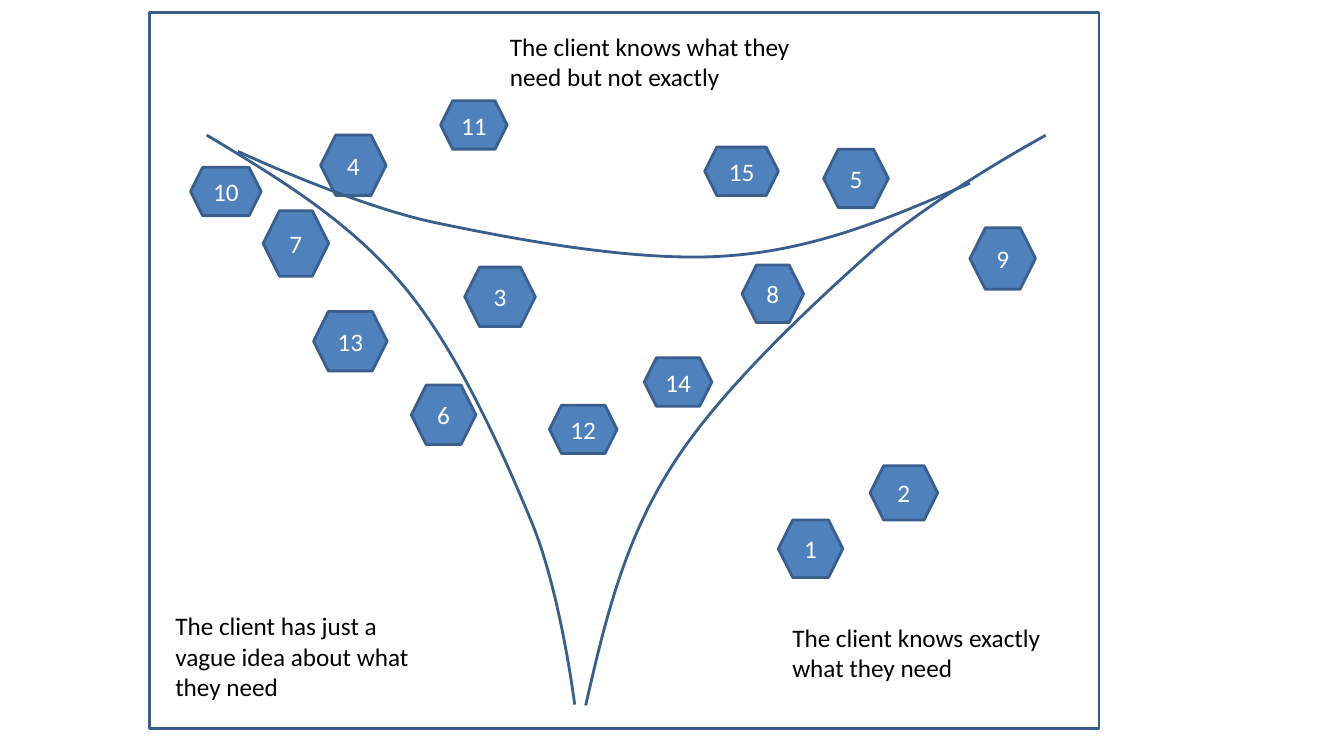
from pptx import Presentation
from pptx.dml.color import RGBColor
from pptx.enum.shapes import MSO_SHAPE as Shape
from pptx.enum.text import MSO_ANCHOR as Anchor, MSO_AUTO_SIZE as AutoSize, PP_ALIGN as Align
from pptx.oxml.ns import qn
from pptx.util import Inches, Pt

COLORS = {"hexagon": "4F81BD", "line": "3A5F8C", "number": "FFFFFF", "label": "000000"}
CELL = Inches(0.01)
SLIDE = (1333, 750)
FRAME = (148, 12, 942, 711)

PROJECTS = {
    10: (41, 154, 70, 48),
    15: (551, 134, 73, 48),
    4: (170, 122, 65, 60),
    13: (163, 297, 73, 59),
    3: (313, 253, 70, 59),
    6: (260, 370, 64, 59),
    11: (289, 88, 66, 48),
    12: (397, 390, 67, 48),
    14: (491, 343, 67, 48),
    7: (113, 197, 65, 65),
    1: (624, 504, 64, 57),
    2: (715, 450, 67, 54),
    8: (588, 251, 61, 57),
    9: (814, 214, 65, 61),
    5: (669, 136, 64, 58),
}
LABELS = {
    "The client knows exactly what they need": (628, 600, 303, 71),
    "The client knows what they need but not exactly": (348, 14, 327, 71),
    "The client has just a vague idea about what they need": (16, 589, 259, 101),
}
BORDERS = {
    0: (57, 122, 365, 565),
    247.5: (487, 86, 348, 638),
    121.1: (277, -165, 348, 638),
}
BEND_SCALE = 1000
BEND = [(0, 0), (191, 74), (384, 149), (531, 262), (680, 375),
        (805, 558), (884, 681), (962, 804), (1000, 1000), (1000, 1000)]


def color(part):
    """Return the colour of a part of the diagram."""
    return RGBColor.from_string(COLORS[part])


def place(box, cells):
    """Turn grid cells inside a box into slide lengths."""
    left, top, width, height = cells
    return [n * CELL for n in (box[0] + left, box[1] + top, width, height)]


def outline(shape, fill=None):
    """Give a shape the common outline and an optional fill."""
    shape.shadow.inherit = False
    if fill:
        shape.fill.solid()
        shape.fill.fore_color.rgb = color(fill)
    else:
        shape.fill.background()
    shape.line.color.rgb = color("line")
    shape.line.width = Pt(2)


def write(frame, text, part, align):
    """Write one paragraph in the style of a part."""
    paragraph = frame.paragraphs[0]
    paragraph.text = text
    paragraph.alignment = align
    paragraph.font.name = "Calibri"
    paragraph.font.size = Pt(18)
    paragraph.font.color.rgb = color(part)


def add_projects(slide, box):
    """Place the numbered project hexagons."""
    for number, cells in PROJECTS.items():
        hexagon = slide.shapes.add_shape(Shape.HEXAGON, *place(box, cells))
        outline(hexagon, "hexagon")
        hexagon.text_frame.word_wrap = False
        hexagon.text_frame.vertical_anchor = Anchor.MIDDLE
        write(hexagon.text_frame, str(number), "number", Align.CENTER)


def add_frame(slide, box):
    """Draw the frame around the diagram."""
    outline(slide.shapes.add_shape(Shape.RECTANGLE, *place((0, 0), box)))


def add_labels(slide, box):
    """Write the label of each client group."""
    for text, cells in LABELS.items():
        label = slide.shapes.add_textbox(*place(box, cells))
        label.text_frame.word_wrap = True
        label.text_frame.auto_size = AutoSize.SHAPE_TO_FIT_TEXT
        write(label.text_frame, text, "label", Align.LEFT)


def bend(border):
    """Join each three line segments of a border into one cubic curve."""
    segments = iter(list(border.element.iter(qn("a:lnTo"))))
    for curve, second, third in zip(segments, segments, segments):
        curve.tag = qn("a:cubicBezTo")
        for segment in (second, third):
            curve.extend(list(segment))
            segment.getparent().remove(segment)


def add_borders(slide, box):
    """Draw the same curved border at three angles between the client groups."""
    for angle, cells in BORDERS.items():
        left, top, width, height = place(box, cells)
        start, *rest = [
            (left + width * x // BEND_SCALE, top + height * y // BEND_SCALE) for x, y in BEND
        ]
        builder = slide.shapes.build_freeform(*start)
        builder.add_line_segments(rest, close=False)
        border = builder.convert_to_shape()
        bend(border)
        border.rotation = angle
        outline(border)


def main():
    """Build the client knowledge diagram."""
    deck = Presentation()
    deck.slide_width, deck.slide_height = (n * CELL for n in SLIDE)
    slide = deck.slides.add_slide(deck.slide_layouts[6])
    for add_part in (add_projects, add_frame, add_labels, add_borders):
        add_part(slide, FRAME)
    deck.save("out.pptx")


if __name__ == "__main__":
    main()
